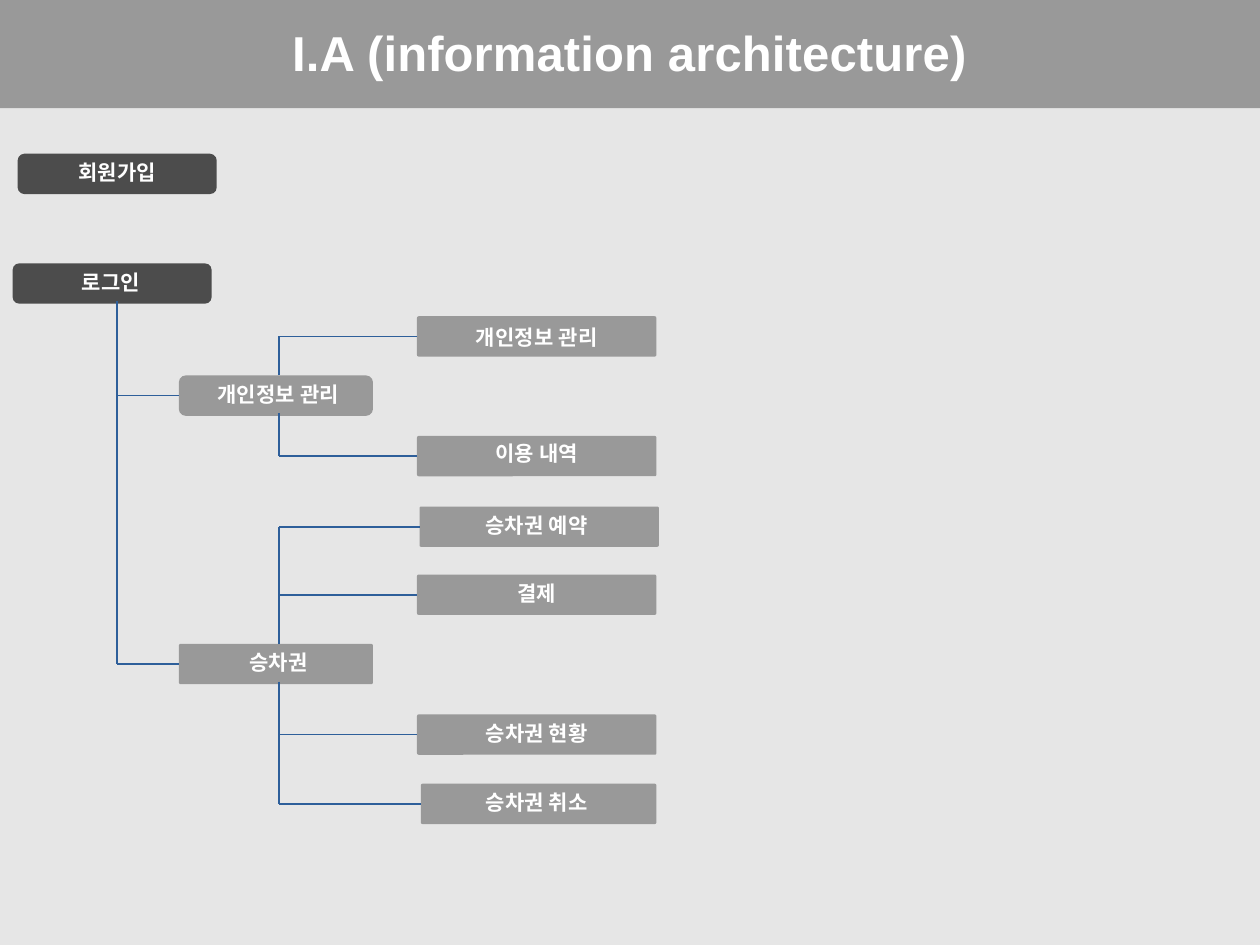
from lxml import etree
from pptx import Presentation
from pptx.dml.color import RGBColor
from pptx.enum import shapes, text
from pptx.oxml import ns
from pptx.util import Inches, Pt

COLORS = {"page": "E6E6E6", "grey": "999999", "dark": "4C4C4C",
          "line": "2E5F9A", "white": "FFFFFF"}
COLS, ROWS = 100, 75            # slide grid
CELL = Inches(10) / COLS
NODE_H, LABEL_H = 3.2, 3
ROUND, SQUARE = 0.167, 0.042    # corner sizes
LATIN, KOREAN = "Arial", "Noto Sans CJK KR"
SPINE = 22.15                   # column of the branch spines
PARENT_X, CHILD_X = 14.2, 33.1


def cells(*values):
    return [round(v * CELL) for v in values]


def rgb(name):
    return RGBColor.from_string(COLORS[name])


def add_text(slide, box, label, size=12, font=KOREAN, color="white"):
    tf = slide.shapes.add_textbox(*cells(*box)).text_frame
    tf.word_wrap = True
    p = tf.paragraphs[0]
    p.alignment = text.PP_ALIGN.CENTER
    r = p.add_run()
    r.text = label
    r.font.size, r.font.bold, r.font.name = Pt(size), True, font
    r.font.color.rgb = rgb(color)
    rpr = r.font._element
    rpr.set("spc", "10")
    ea = etree.Element(ns.qn("a:ea"), typeface=font)
    rpr.find(ns.qn("a:latin")).addnext(ea)


def add_block(slide, box, color, corner=None):
    kind = shapes.MSO_SHAPE.ROUNDED_RECTANGLE if corner else shapes.MSO_SHAPE.RECTANGLE
    sp = slide.shapes.add_shape(kind, *cells(*box))
    if corner:
        sp.adjustments[0] = corner
    sp.shadow.inherit = False
    sp.fill.solid()
    sp.fill.fore_color.rgb = rgb(color)
    sp.line.fill.background()
    return sp


def add_node(slide, x, y, w, label, center, label_w=11.8, dy=0,
             color="grey", corner=SQUARE):
    sp = add_block(slide, (x, y, w, NODE_H), color, corner)
    add_text(slide, (center - label_w / 2, y + dy, label_w, LABEL_H), label)
    return sp


def add_line(slide, start, end, node=None):
    """Line between two grid points; starts at the left side of node if given."""
    ln = slide.shapes.add_connector(shapes.MSO_CONNECTOR.STRAIGHT,
                                    *cells(*start, *end))
    if node is not None:
        ln.begin_connect(node, 1)
    ln.line.color.rgb = rgb("line")
    ln.line.width = Pt(1)
    etree.SubElement(ln._element.spPr, ns.qn("a:effectLst"))


def header(slide, box):
    x, y, w, h = box
    add_block(slide, box, "grey")
    add_text(slide, (x + 0.197 * w, y + 0.15 * h, 0.606 * w, 0.66 * h),
             "I.A (information architecture)", size=28, font=LATIN)


def branch(slide, box, parent, children):
    """Parent node with its children, joined by a spine; returns the parent."""
    x, y, _, _ = box
    spine = x + SPINE
    row = y + parent["row"]
    top = add_node(slide, x + PARENT_X, row, 15.4, parent["label"], x + 22.1,
                   parent["label_w"], corner=parent["corner"])
    mids = []
    for label, child_row, dx, w, label_w, dy in children:
        left, child_y = x + CHILD_X + dx, y + child_row
        sp = add_node(slide, left, child_y, w, label, x + 42.6, label_w, dy)
        mid = child_y + NODE_H / 2
        add_line(slide, (left, mid), (spine, mid), sp)
        mids.append(mid)
    add_line(slide, (spine, row), (spine, mids[0]))
    add_line(slide, (spine, row + LABEL_H), (spine, mids[-1]))
    return top, row + NODE_H / 2


def site_map(slide, box):
    x, y, w, h = box
    # Entry pages
    add_node(slide, x + 1.4, y + 3.6, 15.8, "회원가입", x + 9.3, 10,
             color="dark", corner=ROUND)
    login_y, trunk = y + 12.3, x + 9.3
    add_node(slide, x + 1, login_y, 15.8, "로그인", x + 8.8, 10,
             color="dark", corner=ROUND)

    # Branches; child: label, row, left shift, width, label width, label drop
    parents = [
        branch(slide, (x, y + 16.5, w, 12.7),
               {"label": "개인정보 관리", "row": 4.7, "label_w": 13.4, "corner": ROUND},
               [("개인정보 관리", 0, 0, 19, 14.5, 0.2),
                ("이용 내역", 9.5, 0, 19, 14.6, -0.1)]),
        branch(slide, (x, y + 31.6, w, 25.2),
               {"label": "승차권", "row": 10.9, "label_w": 11.8, "corner": SQUARE},
               [("승차권 예약", 0, 0.2, 19, 13, 0),
                ("결제", 5.4, 0, 19, 11.8, 0),
                ("승차권 현황", 16.5, 0, 19, 11.8, 0),
                ("승차권 취소", 22, 0.3, 18.7, 11.8, 0)]),
    ]

    # Trunk from login to each branch
    for sp, mid in parents:
        add_line(slide, (x + PARENT_X, mid), (trunk, mid), sp)
    add_line(slide, (trunk, login_y + LABEL_H), (trunk, parents[-1][1]))


def main():
    prs = Presentation()
    prs.slide_width, prs.slide_height = cells(COLS, ROWS)
    slide = prs.slides.add_slide(prs.slide_layouts[6])
    slide.background.fill.solid()
    slide.background.fill.fore_color.rgb = rgb("page")
    header(slide, (0, 0, COLS, 8.6))
    site_map(slide, (0, 8.6, COLS, ROWS - 8.6))
    prs.save("out.pptx")


if __name__ == "__main__":
    main()
